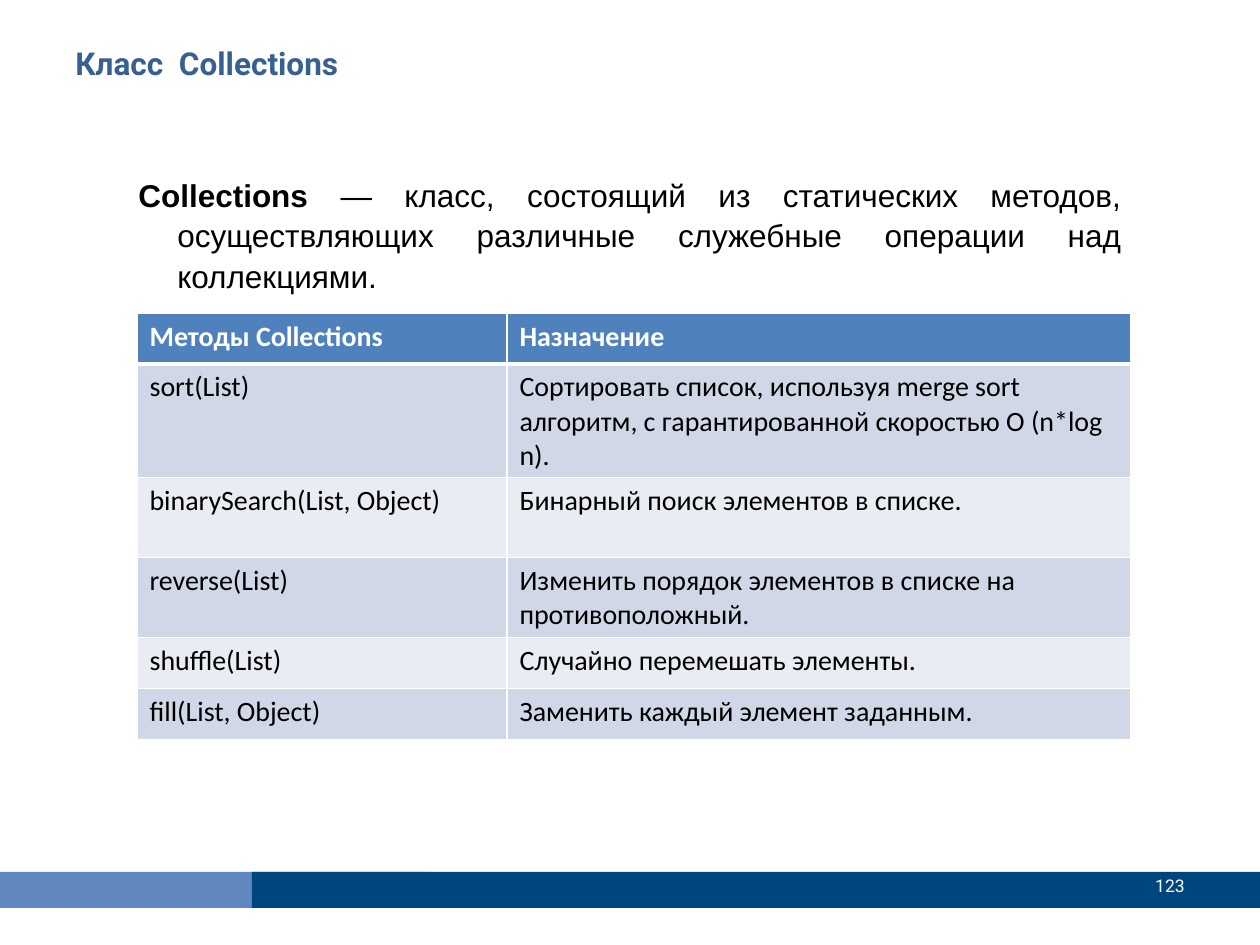
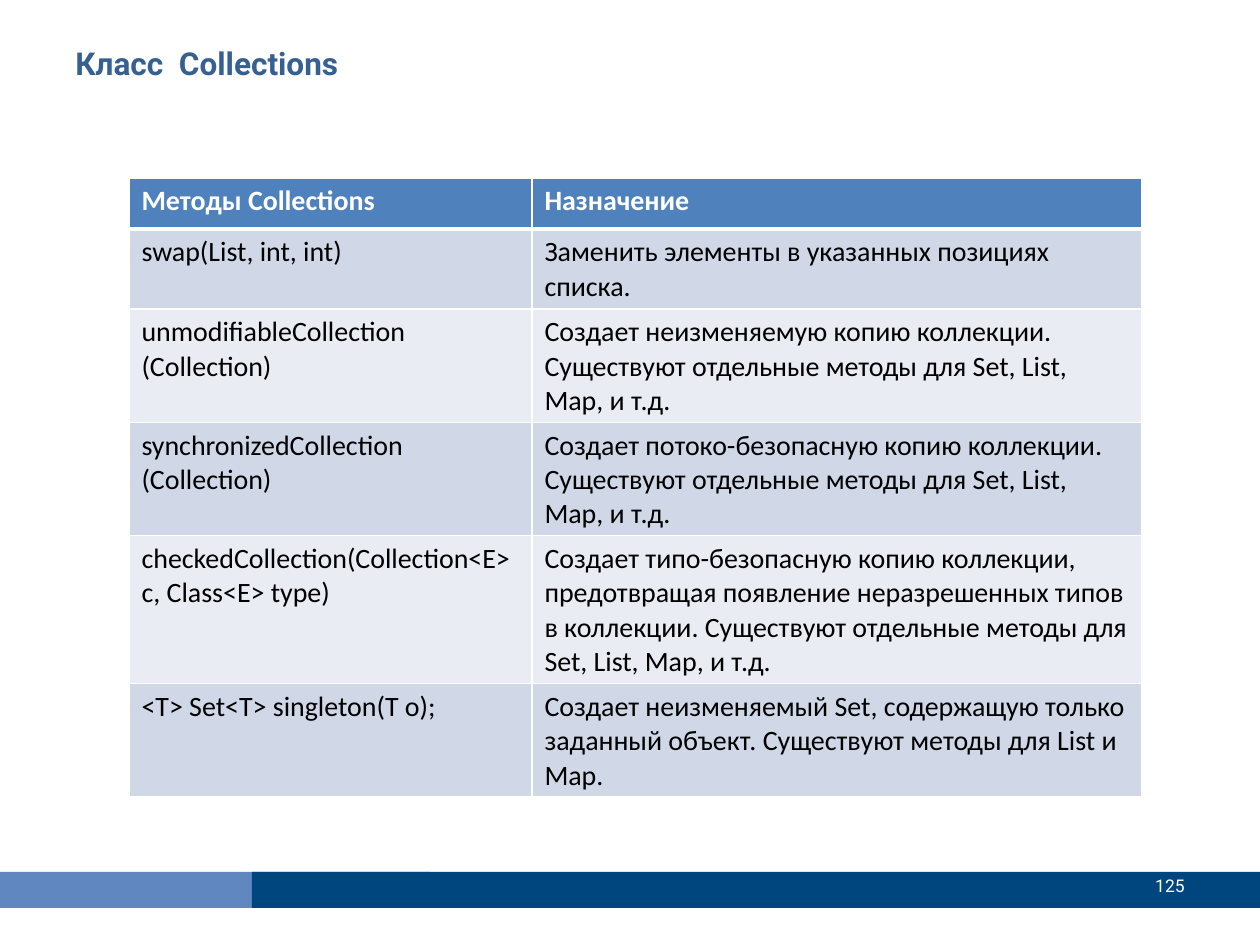
from lxml.etree import SubElement
from pptx import Presentation
from pptx.dml.color import RGBColor
from pptx.enum.shapes import MSO_SHAPE as Shape
from pptx.enum.text import MSO_ANCHOR as Anchor, PP_ALIGN as Align
from pptx.oxml.ns import qn
from pptx.util import Pt

TITLE = "Класс  Collections"
HEAD = ("Методы Collections", "Назначение")
INTRO = (
    ("Collections", True),
    (" — класс, состоящий из статических методов, осуществляющих "
     "различные служебные операции над коллекциями.", False),
)
PAGES = [
    dict(
        number=123, intro=INTRO, left=137, top=313, cols=(370, 624),
        rows=[
            (113, "sort(List)",
             "Cортировать список, используя merge sort алгоритм, "
             "с гарантированной скоростью O (n*log n)."),
            (80, "binarySearch(List, Object)",
             "Бинарный поиск элементов в списке."),
            (80, "reverse(List)",
             "Изменить порядок элементов в списке на противоположный."),
            (51, "shuffle(List)", "Случайно перемешать элементы."),
            (51, "fill(List, Object)", "Заменить каждый элемент заданным."),
        ],
    ),
    dict(
        number=125, intro=None, left=129, top=178, cols=(403, 610),
        rows=[
            (80, "swap(List, int, int)",
             "Заменить элементы в указанных позициях списка."),
            (113, "unmodifiableCollection (Сollection)",
             "Создает неизменяемую копию коллекции. "
             "Существуют отдельные методы для Set, List, Map, и т.д."),
            (113, "synchronizedCollection (Collection)",
             "Создает потоко-безопасную копию коллекции. "
             "Существуют отдельные методы для Set, List, Map, и т.д."),
            (148, "checkedCollection(Collection<E> c, Class<E> type)",
             "Создает типо-безопасную копию коллекции, предотвращая "
             "появление неразрешенных типов в коллекции. "
             "Существуют отдельные методы для Set, List, Map, и т.д."),
            (113, "<T> Set<T> singleton(T o);",
             "Создает неизменяемый Set, содержащую только заданный объект. "
             "Существуют методы для List и Маp."),
        ],
    ),
]

WIDE, HIGH = 1260, 945
HEAD_H = 51
BANDS = [(0, 430, "6087BF"), (252, 1008, "00467E")]
BAND_TOP, BAND_H = 872, 36
FILLS = ("E9ECF3", "D0D8E7")
HEAD_FILL, WHITE = "4F81BD", "FFFFFF"
THIN, THICK = 0.96, 3

TITLE_FONT = dict(name="Roboto", size=18, bold=True, color="376092")
INTRO_FONT = dict(name="Arial", size=18, color="000000")
NUMBER_FONT = dict(name="Roboto", size=10, color=WHITE)
HEAD_FONT = dict(name="Calibri", size=16, bold=True, color=WHITE)
CELL_FONT = dict(name="Calibri", size=16, bold=False, color="000000")


def px(n):
    return round(n * 914400 / 126)


def paint(fmt, color):
    fmt.solid()
    fmt.fore_color.rgb = RGBColor.from_string(color)


def style(font, look):
    for key, value in look.items():
        if key == "color":
            paint(font.fill, value)
        else:
            setattr(font, key, Pt(value) if key == "size" else value)


def write(para, runs, look):
    """Add (text, bold) runs; a bold of None keeps the look's own weight."""
    for text, bold in runs:
        run = para.add_run()
        run.text = text
        style(run.font, look if bold is None else dict(look, bold=bold))


def add_text(slide, box, runs, look, anchor=Anchor.TOP, **layout):
    frame = slide.shapes.add_textbox(*map(px, box)).text_frame
    frame.word_wrap = True
    frame.vertical_anchor = anchor
    para = frame.paragraphs[0]
    for key, value in layout.items():
        setattr(para, key, value)
    write(para, runs, look)
    return para


def add_bands(slide):
    for left, width, color in BANDS:
        band = slide.shapes.add_shape(
            Shape.RECTANGLE, *map(px, (left, BAND_TOP, width, BAND_H)))
        band.shadow.inherit = False
        paint(band.fill, color)
        band.line.fill.background()


def add_intro(slide, runs):
    para = add_text(slide, (126, 168, 1008, 130), runs, INTRO_FONT,
                    alignment=Align.JUSTIFY, line_spacing=1.06)
    props = para._p.get_or_add_pPr()
    props.set("marL", str(px(39)))
    props.set("indent", str(px(-39)))


def edge(cell, row):
    """Draw white cell borders, thick between the head and the first row."""
    props = cell._tc.get_or_add_tcPr()
    thick = {(0, "B"), (1, "T")}
    for side in "LRTB":
        width = THICK if (row, side) in thick else THIN
        line = SubElement(props, qn("a:ln" + side), w=str(Pt(width)))
        fill = SubElement(line, qn("a:solidFill"))
        SubElement(fill, qn("a:srgbClr"), val=WHITE)


def add_methods(slide, page):
    cols = page["cols"]
    rows = [(HEAD_H, *HEAD), *page["rows"]]
    box = page["left"], page["top"], sum(cols), sum(row[0] for row in rows)
    table = slide.shapes.add_table(
        len(rows), len(cols), *map(px, box)).table
    for col, width in zip(table.columns, cols):
        col.width = px(width)
    for r, (height, *texts) in enumerate(rows):
        table.rows[r].height = px(height)
        for c, text in enumerate(texts):
            cell = table.cell(r, c)
            edge(cell, r)
            paint(cell.fill, FILLS[r % 2] if r else HEAD_FILL)
            write(cell.text_frame.paragraphs[0], [(text, None)],
                  CELL_FONT if r else HEAD_FONT)


def add_page(deck, page):
    slide = deck.slides.add_slide(deck.slide_layouts[6])
    paint(slide.background.fill, WHITE)
    add_bands(slide)
    add_text(slide, (63, 38, 1134, 98), [(TITLE, None)], TITLE_FONT)
    if page["intro"]:
        add_intro(slide, page["intro"])
    add_text(slide, (1061, 861, 136, 50), [(str(page["number"]), None)],
             NUMBER_FONT, Anchor.MIDDLE, alignment=Align.RIGHT)
    add_methods(slide, page)


def main():
    deck = Presentation()
    deck.slide_width, deck.slide_height = px(WIDE), px(HIGH)
    for page in PAGES:
        add_page(deck, page)
    deck.save("out.pptx")


if __name__ == "__main__":
    main()
